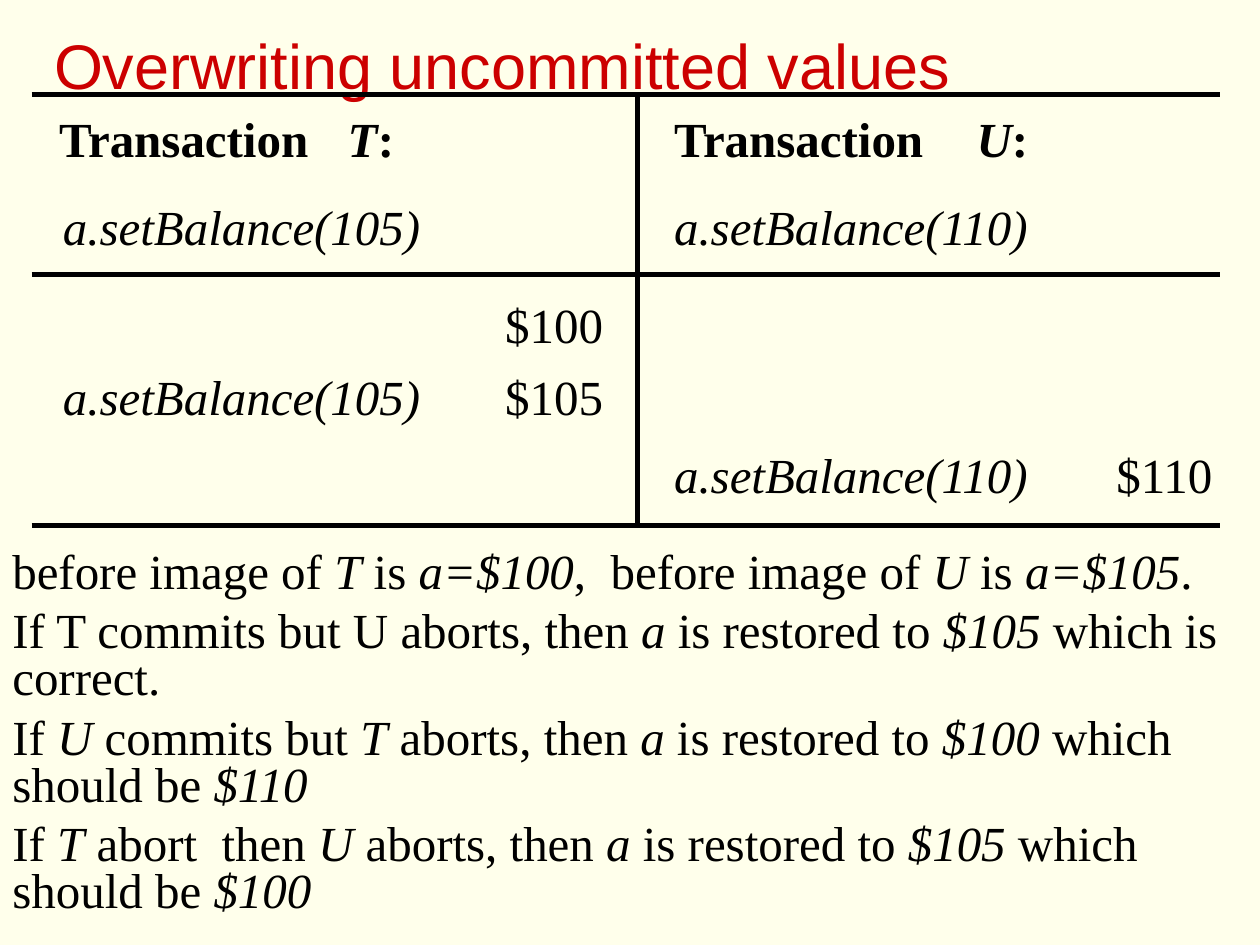
"""Build the slide on overwriting uncommitted values in two transactions."""
from pptx import Presentation
from pptx.dml.color import RGBColor
from pptx.enum.shapes import MSO_CONNECTOR as Connector
from pptx.enum.text import MSO_ANCHOR as Anchor
from pptx.oxml.ns import qn
from pptx.util import Pt
from lxml.etree import SubElement

CREAM = RGBColor(0xFF, 0xFF, 0xEB)
RED = RGBColor(0xCC, 0x00, 0x00)
BLACK = RGBColor(0x00, 0x00, 0x00)
SERIF = "Times New Roman"

TITLE = "Overwriting uncommitted values"
CALL_T, CALL_U = "a.setBalance(105)", "a.setBalance(110)"

# (text, italic) spans, one list per paragraph
NOTES = [
    [("before image of ", False), ("T", True), (" is ", False), ("a=$100", True),
     (",  before image of ", False), ("U", True), (" is ", False), ("a=$105", True),
     (".", False)],
    [("If T commits but U aborts, then ", False), ("a", True),
     (" is restored to ", False), ("$105", True), (" which is correct.", False)],
    [("If ", False), ("U", True), (" commits but ", False), ("T", True),
     (" aborts, then ", False), ("a", True), (" is restored to ", False),
     ("$100", True), (" which should be ", False), ("$110", True)],
    [("If ", False), ("T", True), (" abort  then ", False), ("U", True),
     (" aborts, then ", False), ("a", True), (" is restored to ", False),
     ("$105", True), (" which should be ", False), ("$100", True)],
]

HEAD, CALL, START, WRITE_T, WRITE_U = 62, 112.3, 168.5, 209.5, 254.2
LEFT_T, LEFT_U, VALUE_T, VALUE_U = 36, 385.2, 288.7, 637.9
CALL_WIDTH, VALUE_WIDTH = 204.5, 56.2

# text, left, top, width, bold, italic
LABELS = [
    ("Transaction", 33.8, HEAD, 151.2, True, False),
    ("T", 198.7, HEAD, 17.3, True, True),
    (":", 216, HEAD, 9.4, True, False),
    (CALL_T, LEFT_T, CALL, CALL_WIDTH, False, True),
    ("Transaction", LEFT_U, HEAD, 151.2, True, False),
    ("U", 558, HEAD, 20.2, True, True),
    (":", 578.2, HEAD, 9.4, True, False),
    (CALL_U, LEFT_U, CALL, CALL_WIDTH, False, True),
    ("$100", VALUE_T, START, VALUE_WIDTH, False, False),
    (CALL_T, LEFT_T, WRITE_T, CALL_WIDTH, False, True),
    ("$105", VALUE_T, WRITE_T, VALUE_WIDTH, False, False),
    (CALL_U, LEFT_U, WRITE_U, CALL_WIDTH, False, True),
    ("$110", VALUE_U, WRITE_U, VALUE_WIDTH, False, False),
]

RULE_LEFT, RULE_RIGHT, DIVIDER = 18, 697, 364.5
RULE_TOPS = (54, 157, 300.2)


def add_box(page, left, top, width, height, insets, wrap):
    box = page.shapes.add_textbox(Pt(left), Pt(top), Pt(width), Pt(height))
    frame = box.text_frame
    frame.word_wrap = wrap
    frame.vertical_anchor = Anchor.TOP
    side, edge = insets
    frame.margin_left = frame.margin_right = Pt(side)
    frame.margin_top = frame.margin_bottom = Pt(edge)
    return frame


def style(para, size, name, color):
    para.font.size, para.font.name = Pt(size), name
    para.font.color.rgb = color


def add_rule(page, start_x, start_y, end_x, end_y):
    rule = page.shapes.add_connector(
        Connector.STRAIGHT, Pt(start_x), Pt(start_y), Pt(end_x), Pt(end_y))
    rule.line.color.rgb = BLACK
    rule.line.width = Pt(3)
    SubElement(rule.element.spPr, qn("a:effectLst"))


def main():
    deck = Presentation()
    deck.slide_width, deck.slide_height = Pt(720), Pt(540)
    page = deck.slides.add_slide(deck.slide_layouts[6])
    page.background.fill.solid()
    page.background.fill.fore_color.rgb = CREAM

    notes = add_box(page, 0, 311.8, 720, 228.2, (7.2, 3.6), True)
    for index, spans in enumerate(NOTES):
        para = notes.add_paragraph() if index else notes.paragraphs[0]
        para.line_spacing = 0.8
        para.space_before = Pt(7 if index else 0)
        style(para, 28, SERIF, BLACK)
        for text, italic in spans:
            span = para.add_run()
            span.text, span.font.italic = text, italic

    title = add_box(page, 23.8, 12.2, 696.2, 50.4, (7.2, 3), True)
    title.text = TITLE
    style(title.paragraphs[0], 36, "Arial", RED)

    for text, left, top, width, bold, italic in LABELS:
        label = add_box(page, left, top, width, 33.8, (0, 0), False)
        label.text = text
        para = label.paragraphs[0]
        style(para, 28, SERIF, BLACK)
        para.font.bold, para.font.italic = bold, italic

    for top in RULE_TOPS:
        add_rule(page, RULE_LEFT, top, RULE_RIGHT, top)
    add_rule(page, DIVIDER, RULE_TOPS[0], DIVIDER, RULE_TOPS[-1])
    deck.save("out.pptx")


if __name__ == "__main__":
    main()
